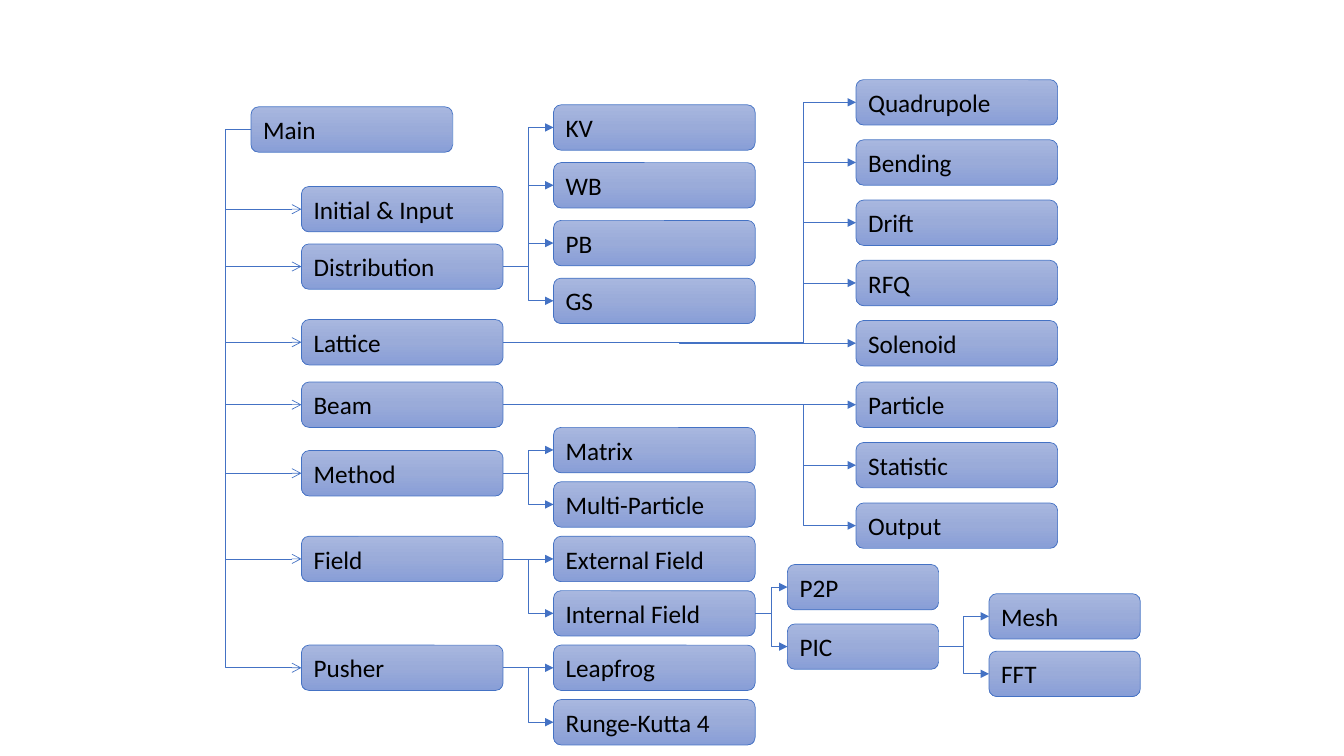
from copy import deepcopy

from lxml.etree import SubElement
from pptx import Presentation
from pptx.dml.color import RGBColor
from pptx.enum.shapes import MSO_CONNECTOR, MSO_SHAPE
from pptx.enum.text import MSO_ANCHOR, MSO_AUTO_SIZE, PP_ALIGN
from pptx.oxml.ns import qn
from pptx.util import Inches, Pt

THEME = {
    "gradient": ((0, "A8B7DF"), (0.5, "9AABD9"), (1, "889ED7")),
    "line": RGBColor.from_string("4472C4"),
    "line_width": Pt(0.5),
    "font": {"name": "Calibri", "size": Pt(18)},
    "text": RGBColor.from_string("000000"),
    "frame": {
        "word_wrap": True,
        "auto_size": MSO_AUTO_SIZE.SHAPE_TO_FIT_TEXT,
        "vertical_anchor": MSO_ANCHOR.MIDDLE,
    },
}
TOP, LEFT, BOTTOM, RIGHT = range(4)
NODE_HEIGHT = 0.45
STEP = 0.5
ROOT_LEFT = 2.49
MODULE_LEFT = ROOT_LEFT + STEP
OPTION_LEFT = MODULE_LEFT + 5 * STEP
ELEMENT_LEFT = OPTION_LEFT + 6 * STEP
SOLVER_LEFT = 7.81
GRID_LEFT = SOLVER_LEFT + 4 * STEP

modules = {
    "Initial & Input": 1.85, "Distribution": 2.42, "Lattice": 3.17, "Beam": 3.79,
    "Method": 4.47, "Field": 5.32, "Pusher": 6.4,
}
# parent, column left, node width, first top, last top, share of the way to the trunk, children
branches = [
    ("Distribution", OPTION_LEFT, 2, 1.04, 2.76, 0.5, ["KV", "WB", "PB", "GS"]),
    ("Lattice", ELEMENT_LEFT, 2, 0.79, 3.18, 0.85,
     ["Quadrupole", "Bending", "Drift", "RFQ", "Solenoid"]),
    ("Beam", ELEMENT_LEFT, 2, 3.79, 4.99, 0.85, ["Particle", "Statistic", "Output"]),
    ("Method", OPTION_LEFT, 2, 4.24, 4.78, 0.5, ["Matrix", "Multi-Particle"]),
    ("Field", OPTION_LEFT, 2, 5.32, 5.86, 0.5, ["External Field", "Internal Field"]),
    ("Pusher", OPTION_LEFT, 2, 6.4, 6.94, 0.5, ["Leapfrog", "Runge-Kutta 4"]),
    ("Internal Field", SOLVER_LEFT, 1.5, 5.6, 6.19, 0.5, ["P2P", "PIC"]),
    ("PIC", GRID_LEFT, 1.5, 5.89, 6.46, 0.5, ["Mesh", "FFT"]),
]

deck = Presentation()
deck.slide_width, deck.slide_height = Inches(13.33), Inches(7.5)
slide = deck.slides.add_slide(deck.slide_layouts[6])
nodes = {}


def add_node(label, left, top, width=2):
    node = slide.shapes.add_shape(
        MSO_SHAPE.ROUNDED_RECTANGLE,
        *(Inches(length) for length in (left, top, width, NODE_HEIGHT)))
    node.shadow.inherit = False
    node.fill.gradient()
    node.fill.gradient_angle = 270
    stops = node._element.spPr.find(".//" + qn("a:gsLst"))
    stops.insert(1, deepcopy(stops[0]))
    for stop, (position, shade) in zip(node.fill.gradient_stops, THEME["gradient"]):
        stop.position = position
        stop.color.rgb = RGBColor.from_string(shade)
    node.line.color.rgb = THEME["line"]
    node.line.width = THEME["line_width"]
    frame = node.text_frame
    for attribute, setting in THEME["frame"].items():
        setattr(frame, attribute, setting)
    paragraph = frame.paragraphs[0]
    paragraph.alignment = PP_ALIGN.LEFT
    run = paragraph.add_run()
    run.text = label
    for attribute, setting in THEME["font"].items():
        setattr(run.font, attribute, setting)
    run.font.color.rgb = THEME["text"]
    nodes[label] = node


def link(parent, child, side, bend, head):
    """Join two nodes by an elbow that turns at the share `bend` of its width."""
    elbow = slide.shapes.add_connector(MSO_CONNECTOR.ELBOW, 0, 0, 0, 0)
    elbow.begin_connect(nodes[parent], side)
    elbow.end_connect(nodes[child], LEFT)
    elbow.line.color.rgb = THEME["line"]
    elbow.line.width = THEME["line_width"]
    properties = elbow._element.spPr
    SubElement(properties.find(qn("a:ln")), qn("a:tailEnd"), type=head)
    SubElement(properties, qn("a:effectLst"))
    SubElement(properties.find(".//" + qn("a:avLst")), qn("a:gd"),
               name="adj1", fmla=f"val {round(bend * 100000)}")


add_node("Main", ROOT_LEFT, 1.06)
for module, top in modules.items():
    add_node(module, MODULE_LEFT, top)
    link("Main", module, LEFT, -0.5, "arrow")

for parent, left, width, first, last, trunk, children in branches:
    pitch = (last - first) / (len(children) - 1)
    for row, child in enumerate(children):
        add_node(child, left, first + row * pitch, width)
        level = abs(nodes[child].top - nodes[parent].top) < Inches(0.02)
        link(parent, child, RIGHT, 0.5 if level else trunk, "triangle")

deck.save("out.pptx")
